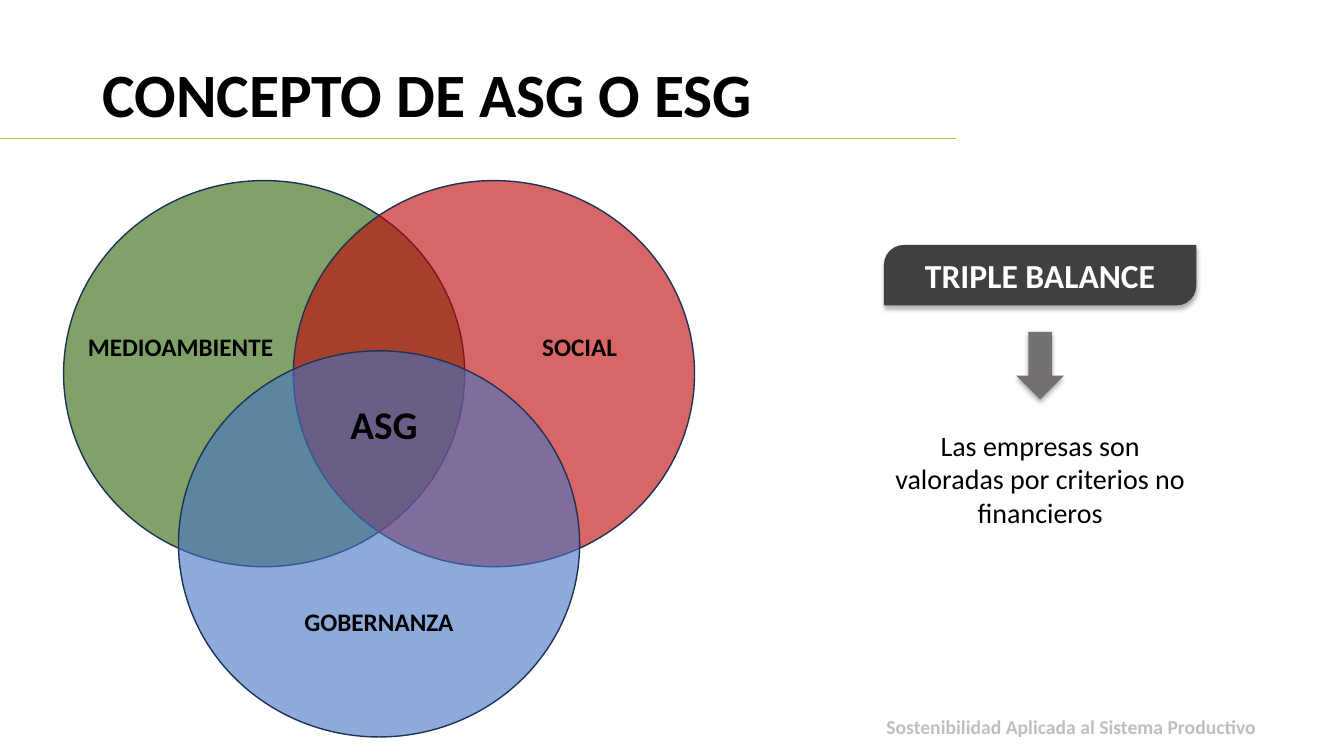
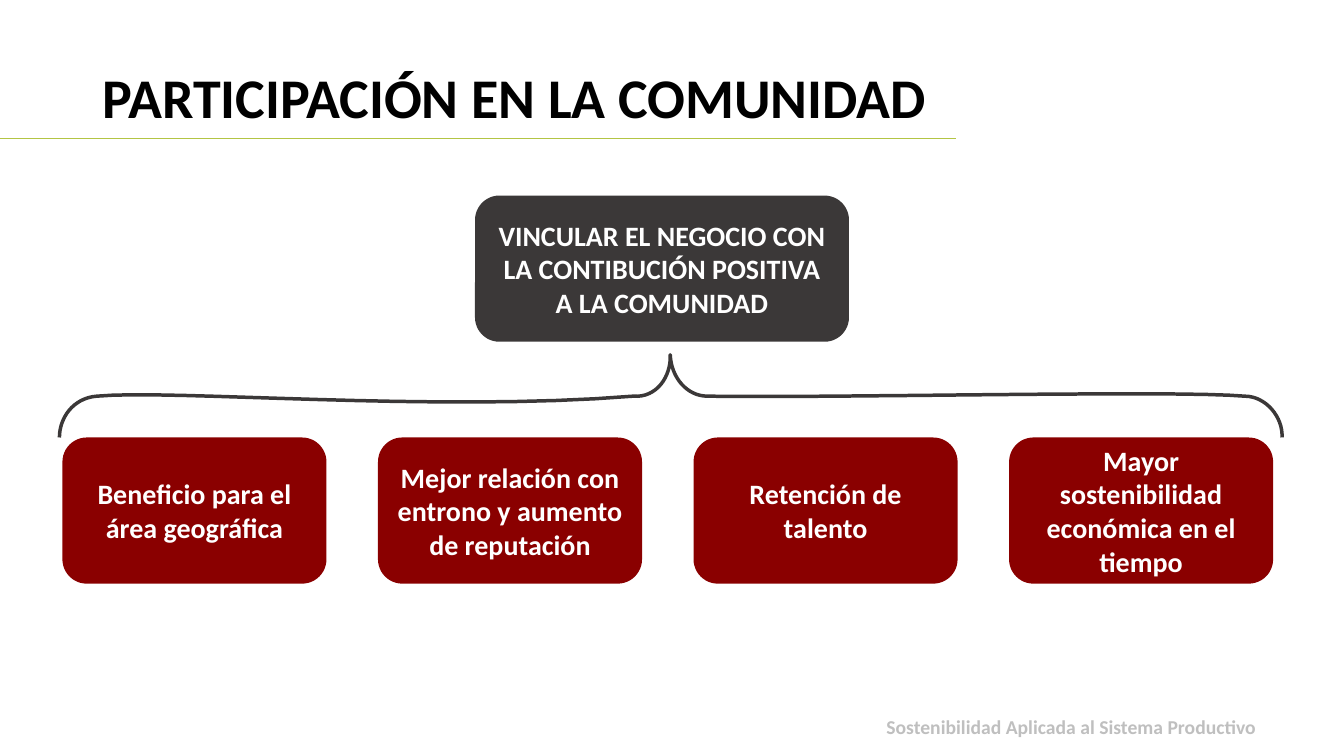
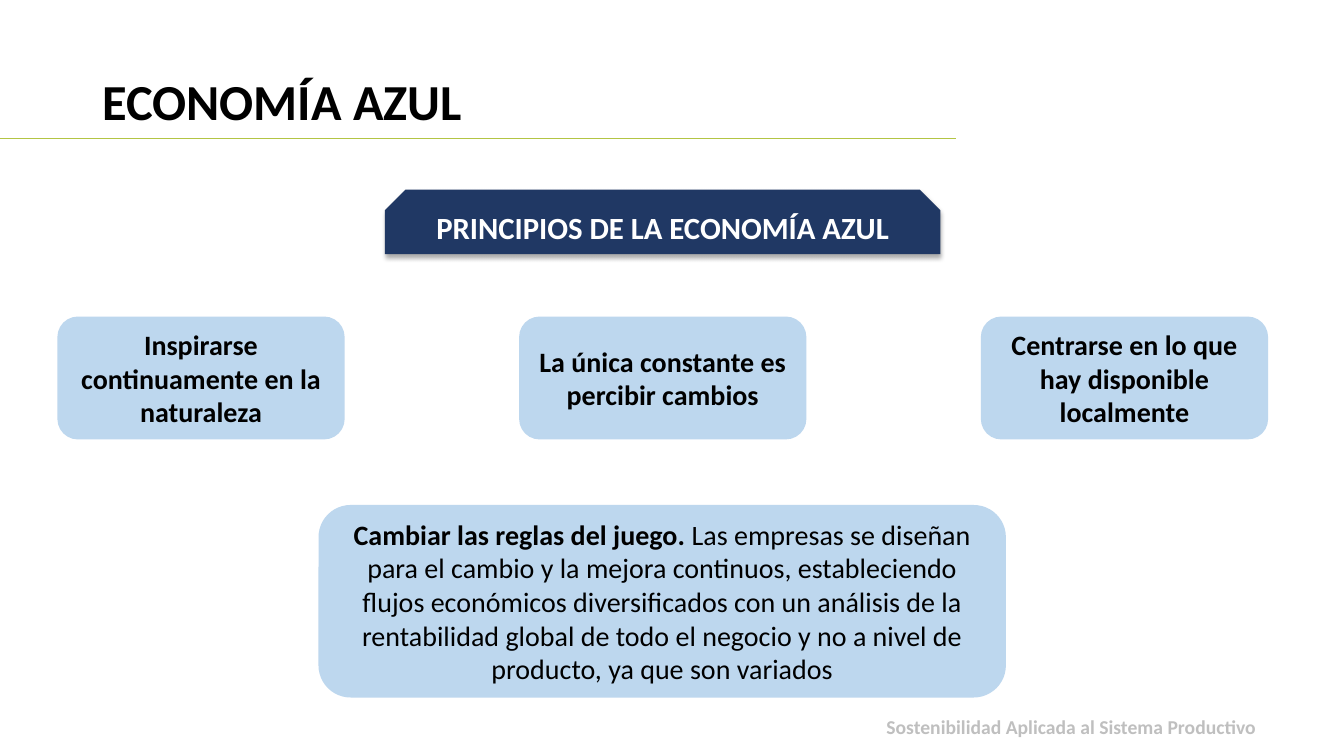
import pptx
import pptx.dml.color
import pptx.enum.shapes
import pptx.enum.text
import pptx.oxml
import pptx.oxml.ns
import pptx.util
from lxml import etree

Pt = pptx.util.Pt
RGBColor = pptx.dml.color.RGBColor
SHAPE = pptx.enum.shapes.MSO_SHAPE
ALIGN = pptx.enum.text.PP_ALIGN
ANCHOR = pptx.enum.text.MSO_ANCHOR
FIT = pptx.enum.text.MSO_AUTO_SIZE
qn = pptx.oxml.ns.qn

BLACK = RGBColor(0x00, 0x00, 0x00)
WHITE = RGBColor(0xFF, 0xFF, 0xFF)
LIME = RGBColor(0xB3, 0xC5, 0x44)
SILVER = RGBColor(0xBF, 0xBF, 0xBF)
GREEN = RGBColor(0x54, 0x82, 0x35)
RED = RGBColor(0xC0, 0x00, 0x00)
BLUE = RGBColor(0x44, 0x72, 0xC4)
OUTLINE = RGBColor(0x1E, 0x32, 0x56)
CHARCOAL = RGBColor(0x40, 0x40, 0x40)
TAUPE = RGBColor(0x76, 0x71, 0x71)
DARK = RGBColor(0x3B, 0x38, 0x38)
MAROON = RGBColor(0x8A, 0x00, 0x00)
NAVY = RGBColor(0x20, 0x38, 0x64)
SKY = RGBColor(0xBD, 0xD7, 0xEE)

FOOTER = "Sostenibilidad Aplicada al Sistema Productivo"
SHADOW = (
    '<a:effectLst xmlns:a="http://schemas.openxmlformats.org/drawingml/2006/main">'
    '<a:outerShdw blurRad="44450" dist="27940" dir="5400000" algn="ctr" rotWithShape="0">'
    '<a:srgbClr val="000000"><a:alpha val="32000"/></a:srgbClr>'
    '</a:outerShdw></a:effectLst>'
)


class Deck:
    font = {"name": "Calibri", "size": Pt(20), "bold": True, "color": BLACK}

    def __init__(self):
        self.prs = pptx.Presentation()
        self.prs.slide_width, self.prs.slide_height = Pt(960), Pt(540)
        self.s = None

    def fill_text(self, tf, runs, align=ALIGN.CENTER, spacing=None, **style):
        tf.word_wrap = True
        p = tf.paragraphs[0]
        p.alignment, p.line_spacing = align, spacing
        for text, changes in runs if isinstance(runs, list) else [(runs, {})]:
            r = p.add_run()
            r.text = text
            for key, value in {**self.font, **style, **changes}.items():
                if key == "color":
                    r.font.color.rgb = value
                else:
                    setattr(r.font, key, value)

    def slide(self, title, size):
        self.s = self.prs.slides.add_slide(self.prs.slide_layouts[5])
        sp = self.s.shapes.title
        sp.left, sp.top, sp.width, sp.height = Pt(66), Pt(42), Pt(724), Pt(104)
        tf = sp.text_frame
        tf.auto_size, tf.vertical_anchor = FIT.NONE, ANCHOR.MIDDLE
        tf.margin_bottom = Pt(3.6 + 1.1 * size)
        self.fill_text(tf, title, ALIGN.LEFT, 0.9, size=Pt(size))
        self.rule(0, 98.6, 682.6)
        self.text(FOOTER, 530, 509, 374.4, 35, ALIGN.RIGHT, 0.9, FIT.NONE,
                  size=Pt(14), color=SILVER)

    def rule(self, x, y, end):
        line = self.s.shapes.add_connector(
            pptx.enum.shapes.MSO_CONNECTOR.STRAIGHT, Pt(x), Pt(y), Pt(end), Pt(y))
        line.line.color.rgb, line.line.width = LIME, Pt(0.5)
        etree.SubElement(line._element.spPr, qn("a:effectLst"))

    def text(self, text, x, y, w, h, align=ALIGN.CENTER, spacing=None,
             fit=FIT.SHAPE_TO_FIT_TEXT, **style):
        tf = self.s.shapes.add_textbox(Pt(x), Pt(y), Pt(w), Pt(h)).text_frame
        self.fill_text(tf, text, align, spacing, **style)
        tf.auto_size = fit

    def shape(self, kind, x, y, w, h, fill, text=None, adj=(), shadow=False,
              parent=None, **style):
        shapes = (parent or self.s).shapes
        sp = shapes.add_shape(kind, Pt(x), Pt(y), Pt(w), Pt(h))
        for i, value in enumerate(adj):
            sp.adjustments[i] = value
        sp.fill.solid()
        sp.fill.fore_color.rgb = fill
        sp.line.fill.background()
        sp.shadow.inherit = False
        if shadow:
            effects = sp._element.spPr.find(qn("a:effectLst"))
            effects.getparent().replace(effects, pptx.oxml.parse_xml(SHADOW))
        if text:
            sp.text_frame.vertical_anchor = ANCHOR.MIDDLE
            self.fill_text(sp.text_frame, text, **style)
        return sp

    def circle(self, parent, x, y, fill, opacity):
        sp = self.shape(SHAPE.OVAL, x, y, 286.5, 275.8, fill, parent=parent)
        sp.line.color.rgb, sp.line.width = OUTLINE, Pt(1)
        color = sp._element.spPr.find(qn("a:solidFill"))[0]
        etree.SubElement(color, qn("a:alpha"), val=str(opacity * 1000))

    def curve(self, start, beziers, color, width, steps=16):
        points, last = [], start
        for x1, y1, x2, y2, x3, y3 in beziers:
            for i in range(1, steps + 1):
                t = i / steps
                u = 1 - t
                weights = (u ** 3, 3 * u * u * t, 3 * u * t * t, t ** 3)
                points.append(tuple(
                    Pt(sum(k * v for k, v in zip(weights, axis)))
                    for axis in ((last[0], x1, x2, x3), (last[1], y1, y2, y3))))
            last = (x3, y3)
        builder = self.s.shapes.build_freeform(Pt(start[0]), Pt(start[1]))
        builder.add_line_segments(points, close=False)
        sp = builder.convert_to_shape()
        sp.fill.background()
        sp.line.color.rgb, sp.line.width = color, Pt(width)
        sp.shadow.inherit = False

    def cards(self, texts, x, y, w, h, pitch, fill, **style):
        for i, text in enumerate(texts):
            self.shape(SHAPE.ROUNDED_RECTANGLE, x + i * pitch, y, w, h, fill, text, **style)


def concept(d):
    d.slide("CONCEPTO DE ASG O ESG", 44)
    venn = d.s.shapes.add_group_shape()
    for x, y, fill, opacity in ((45.4, 129, GREEN, 74), (209.6, 129, RED, 60),
                                (127.5, 250.6, BLUE, 60)):
        d.circle(venn, x, y, fill, opacity)
    for text, x, y, h, size in (("MEDIOAMBIENTE", 50.4, 233.3, 29, 18),
                                ("SOCIAL", 335.5, 233.3, 29, 18),
                                ("GOBERNANZA", 192.2, 429.8, 29, 18),
                                ("ASG", 195.8, 282.2, 41, 28)):
        d.text(text, x, y, 157, h, size=Pt(size))
    d.shape(SHAPE.ROUND_2_DIAG_RECTANGLE, 631.4, 175, 223.2, 43.2, CHARCOAL,
            "TRIPLE BALANCE", (0.33, 0), True, size=Pt(24), color=WHITE)
    d.shape(SHAPE.DOWN_ARROW, 726, 237, 34, 48.4, TAUPE, shadow=True)
    d.text("Las empresas son valoradas por criterios no financieros",
           631.4, 302.4, 223.2, 80, bold=False)


def community(d):
    d.slide("PARTICIPACIÓN EN LA COMUNIDAD", 40)
    d.shape(SHAPE.ROUNDED_RECTANGLE, 339.3, 139.7, 267.1, 104.4, DARK,
            "VINCULAR EL NEGOCIO CON LA CONTIBUCIÓN POSITIVA A LA COMUNIDAD",
            color=WHITE)
    d.cards(("Beneficio para el área geográfica",
             "Mejor relación con entrono y aumento de reputación",
             "Retención de talento",
             "Mayor sostenibilidad económica en el tiempo"),
            44.6, 312.5, 188.6, 104.4, 225.4, MAROON, color=WHITE)
    d.curve((42.5, 312.5), (
        (42.5, 298.8, 52, 284.4, 69.1, 283),
        (121.7, 277.9, 310.3, 294.5, 452.2, 283),
        (469.4, 284.4, 479.5, 268.6, 478.8, 253.4),
        (479.5, 270, 491, 283, 505.4, 283),
        (598.3, 284.4, 839.5, 278.6, 889.2, 283),
        (904.3, 283, 916.6, 298.1, 915.8, 312.5)), DARK, 2.5)


def blue_economy(d):
    d.slide("ECONOMÍA AZUL", 36)
    d.shape(SHAPE.SNIP_2_SAME_RECTANGLE, 275, 135.4, 396.7, 46.1, NAVY,
            "PRINCIPIOS DE LA ECONOMÍA AZUL", (0.32, 0), True,
            size=Pt(22), color=WHITE)
    d.cards(("Inspirarse continuamente en la naturaleza",
             "La única constante es percibir cambios",
             "Centrarse en lo que hay disponible localmente"),
            41, 226.1, 205.2, 87.8, 329.8, SKY)
    d.shape(SHAPE.ROUNDED_RECTANGLE, 227.5, 360.7, 491, 137.5, SKY, [
        ("Cambiar las reglas del juego. ", {}),
        ("Las empresas se diseñan para el cambio y la mejora continuos, "
         "estableciendo flujos económicos diversificados con un análisis de la "
         "rentabilidad global de todo el negocio y no a nivel de producto, "
         "ya que son variados", {"bold": False})])


def main():
    d = Deck()
    concept(d)
    community(d)
    blue_economy(d)
    d.prs.save("out.pptx")


if __name__ == "__main__":
    main()
